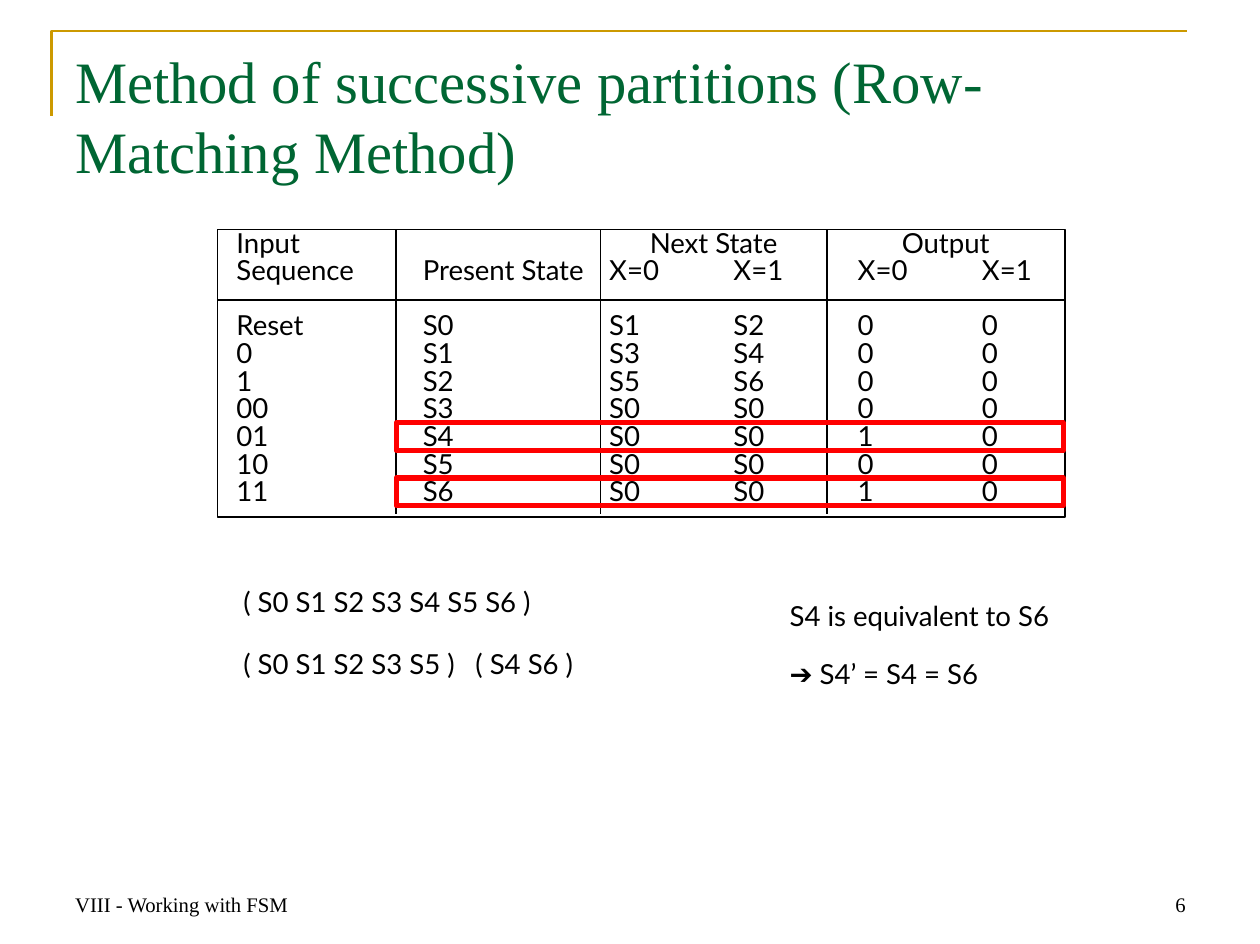
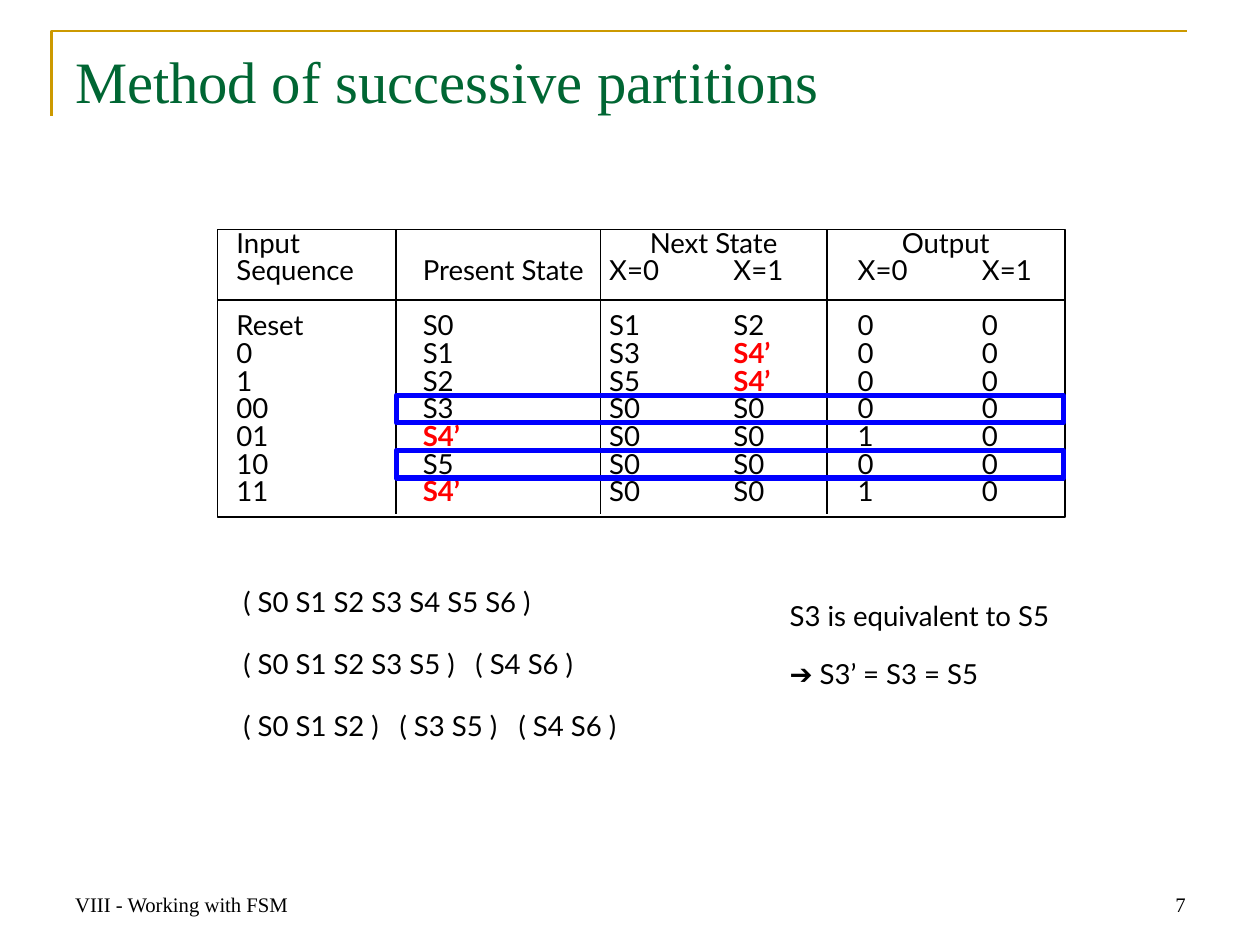
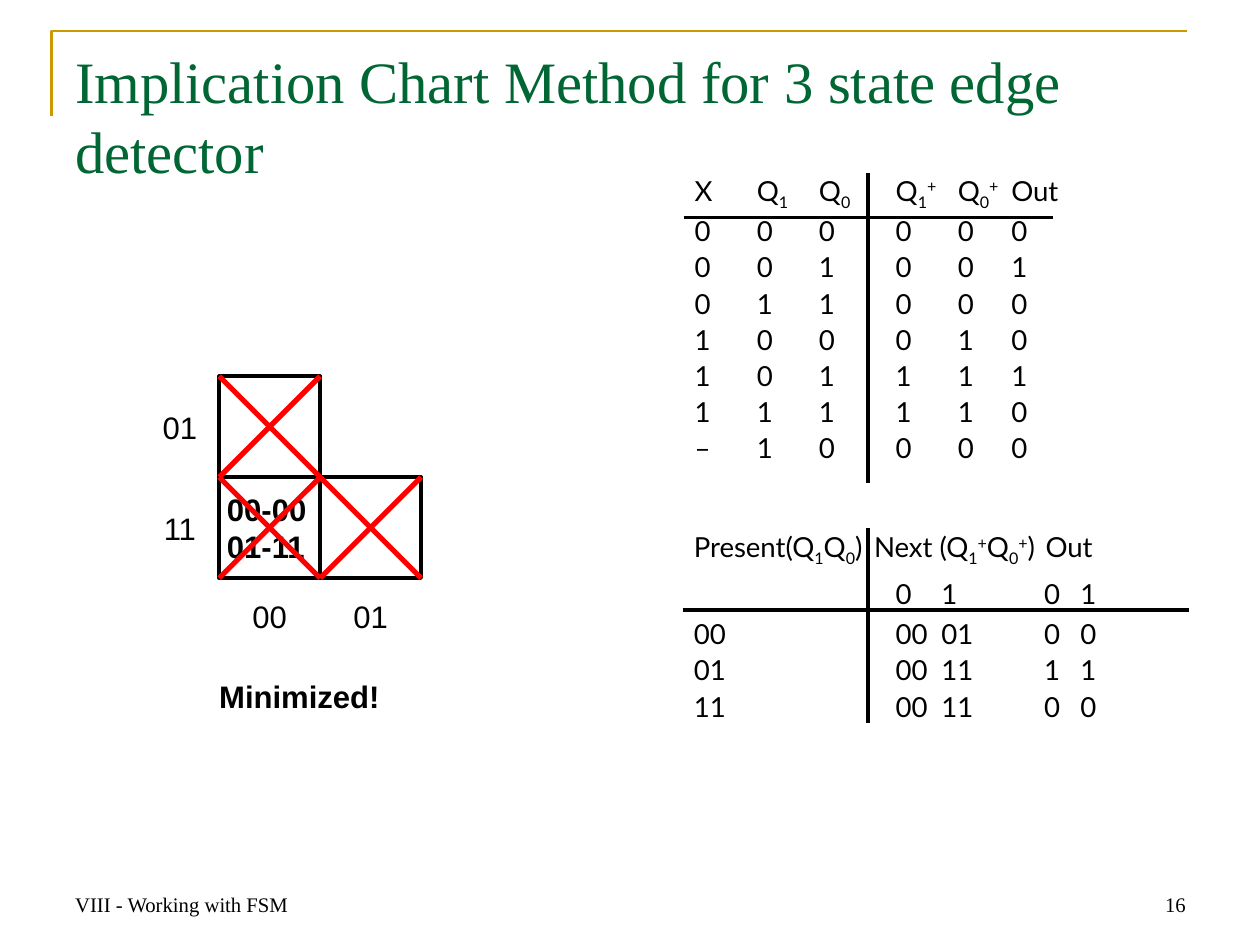
from itertools import pairwise
from typing import NamedTuple

from lxml.etree import SubElement
from pptx import Presentation
from pptx.dml.color import RGBColor
from pptx.enum.shapes import MSO_CONNECTOR, MSO_SHAPE
from pptx.enum.text import MSO_ANCHOR as Anchor, MSO_AUTO_SIZE, PP_ALIGN as Align
from pptx.oxml.ns import qn
from pptx.util import Pt

PX = 6350  # EMU per px, 144 px to the inch
BLACK = RGBColor(0x00, 0x00, 0x00)
WHITE = RGBColor(0xFF, 0xFF, 0xFF)
RED = RGBColor(0xFF, 0x00, 0x00)
BLUE = RGBColor(0x00, 0x00, 0xFF)
GREEN = RGBColor(0x00, 0x66, 0x33)
GOLD = RGBColor(0xCC, 0x99, 0x00)
SERIF, SANS, BODY = "Times New Roman", "Arial", "Lato"
NO_TABLE_STYLE = "{2D5ABB26-0587-4C30-8999-92F81FD0307C}"
FOOTER = "VIII - Working with FSM"
INDEX_DROP = 5  # extra px above cell text that holds an index


class Part(NamedTuple):
    text: str
    baseline: int = 0
    color: RGBColor = BLACK
    bold: bool = False


SUB_0, SUB_1 = Part("0", -25000), Part("1", -25000)
PLUS = Part("+", 30000)
Q1, Q0 = [Part("Q"), SUB_1], [Part("Q"), SUB_0]
Q1_NEXT, Q0_NEXT = Q1 + [PLUS], Q0 + [PLUS]

# State table: text rows, column edges and text starts
STATE_HEADER = [
    ["Input", "", "Next State", "", "Output", ""],
    ["Sequence", "Present State", "X=0", "X=1", "X=0", "X=1"],
]
STATE_ROWS = [line.split() for line in (
    "Reset S0 S1 S2 0 0",
    "0 S1 S3 S4 0 0",
    "1 S2 S5 S6 0 0",
    "00 S3 S0 S0 0 0",
    "01 S4 S0 S0 1 0",
    "10 S5 S0 S0 0 0",
    "11 S6 S0 S0 1 0",
)]
STATE_EDGES = [252, 459, 696, 836, 958, 1120, 1234]
STATE_STARTS = [274, 490, 706, 850, 994, 1138]
STATE_TOP, STATE_BOTTOM, STATE_LINE = 266, 599, 32

# Partition lines with the tab stops of their groups
PARTITIONS = [
    ("( S0 S1 S2 S3 S4 S5 S6 )", []),
    ("( S0 S1 S2 S3 S5 )\t( S4 S6 )", [269]),
    ("( S0 S1 S2 )\t( S3 S5 )\t( S4 S6 )", [181, 319]),
]

TRUTH_ROWS = [
    ["X", Q1, Q0, Q1_NEXT, Q0_NEXT, "Out"],
    *map(list, ("000000", "001001", "011000", "100010", "101111", "111110", "–10000")),
]
NEXT_STATE_ROWS = [
    [[Part("Present("), *Q1, *Q0, Part(")")],
     [Part("Next ("), *Q1_NEXT, *Q0_NEXT, Part(")")], "", "Out", ""],
    ["", "0", "1", "0", "1"],
    ["00", "00", "01", "0", "0"],
    ["01", "00", "11", "1", "1"],
    ["11", "00", "11", "0", "0"],
]


def px(*lengths):
    return [round(length * PX) for length in lengths]


def add_runs(paragraph, content, size, font, color=BLACK, bold=False):
    """Add a string, or a list of parts, run by run."""
    if isinstance(content, str):
        content = [Part(content, color=color, bold=bold)]
    for part in content:
        run = paragraph.add_run()
        run.text = part.text
        run.font.size, run.font.name = Pt(size), font
        run.font.bold, run.font.color.rgb = part.bold, part.color
        if part.baseline:
            run.font._element.set("baseline", str(part.baseline))


def set_frame(frame, inset_x, inset_y, anchor, wrap=True):
    frame.word_wrap, frame.auto_size = wrap, MSO_AUTO_SIZE.NONE
    frame.vertical_anchor = anchor
    frame.margin_left = frame.margin_right = inset_x * PX
    frame.margin_top = frame.margin_bottom = inset_y * PX


def set_tabs(paragraph, stops):
    tab_list = SubElement(paragraph._p.get_or_add_pPr(), qn("a:tabLst"))
    for stop in stops:
        SubElement(tab_list, qn("a:tab"), pos=str(stop * PX), algn="l")


def add_text(slide, box, text, size, font, align=Align.LEFT, anchor=Anchor.MIDDLE,
             inset=(14, 7), bold=False):
    frame = slide.shapes.add_textbox(*px(*box)).text_frame
    set_frame(frame, *inset, anchor)
    frame.paragraphs[0].alignment = align
    add_runs(frame.paragraphs[0], text, size, font, bold=bold)


def add_lines(slide, box, lines, spacing, space_before):
    """Add a text box with one paragraph for each (text, tab stops) pair."""
    frame = slide.shapes.add_textbox(*px(*box)).text_frame
    set_frame(frame, 3, 4, Anchor.TOP, wrap=False)
    for index, (text, stops) in enumerate(lines):
        paragraph = frame.add_paragraph() if index else frame.paragraphs[0]
        paragraph.line_spacing = Pt(spacing)
        if index:
            paragraph.space_before = Pt(space_before)
        if stops:
            set_tabs(paragraph, stops)
        add_runs(paragraph, text, 16, BODY)


def add_rectangle(slide, box, color, weight, fill=None):
    shape = slide.shapes.add_shape(MSO_SHAPE.RECTANGLE, *px(*box))
    shape.shadow.inherit = False
    if fill is None:
        shape.fill.background()
    else:
        shape.fill.solid()
        shape.fill.fore_color.rgb = fill
    shape.line.color.rgb, shape.line.width = color, Pt(weight)
    return shape


def add_rule(slide, x1, y1, x2, y2, color=BLACK, weight=2):
    line = slide.shapes.add_connector(MSO_CONNECTOR.STRAIGHT, *px(x1, y1, x2, y2))
    line.line.color.rgb, line.line.width = color, Pt(weight)
    SubElement(line.element.spPr, qn("a:effectLst"))


def add_cross(slide, left, top, side):
    right, bottom = left + side, top + side
    add_rule(slide, left, top, right, bottom, RED, 3)
    add_rule(slide, left, bottom, right, top, RED, 3)


def fill_cell(cell, content, inset_left, inset_top):
    cell.fill.background()
    cell.vertical_anchor = Anchor.TOP
    cell.margin_right = cell.margin_bottom = 0
    paragraph = cell.text_frame.paragraphs[0]
    paragraph.line_spacing = Pt(16)
    if cell.is_merge_origin:
        paragraph.alignment = Align.CENTER
        inset_left = 0
    if not content:
        # A small end mark keeps an empty cell from stretching its row
        SubElement(paragraph._p, qn("a:endParaRPr"), sz="800")
        inset_top = 0
    elif any(isinstance(part, Part) and part.baseline for part in content):
        inset_top += INDEX_DROP
    cell.margin_left, cell.margin_top = px(inset_left, inset_top)
    if content:
        add_runs(paragraph, content, 16, BODY)


def add_grid(slide, top, rows, edges, starts, heights, insets, spans=()):
    """Add an unruled table; starts and insets place the text in its cells."""
    box = px(edges[0], top, edges[-1] - edges[0], sum(heights))
    graphic = slide.shapes.add_table(len(rows), len(starts), *box)
    table = graphic.table
    table.first_row = table.horz_banding = False
    for style in graphic.element.iter(qn("a:tableStyleId")):
        style.text = NO_TABLE_STYLE
    for column, (left, right) in zip(table.columns, pairwise(edges)):
        column.width = (right - left) * PX
    for r, first, last in spans:
        table.cell(r, first).merge(table.cell(r, last))
    for r, row in enumerate(rows):
        table.rows[r].height = heights[r] * PX
        for c, content in enumerate(row):
            fill_cell(table.cell(r, c), content, starts[c] - edges[c], insets[r])


def add_corner(slide, layout):
    """Draw the gold corner line and move it to the shared layout."""
    builder = slide.shapes.build_freeform(*px(60, 134), scale=1.0)
    builder.add_line_segments([px(60, 36), px(1375, 36)], close=False)
    corner = builder.convert_to_shape()
    corner.shadow.inherit = False
    corner.fill.background()
    corner.line.color.rgb, corner.line.width = GOLD, Pt(1.5)
    layout.shapes.element.append(corner.element)


def add_slide(presentation, layout, title, number):
    slide = presentation.slides.add_slide(layout)
    shape = slide.shapes.title
    shape.left, shape.top, shape.width, shape.height = px(73, 45, 1313, 181)
    set_frame(shape.text_frame, 14, 7, Anchor.TOP)
    shape.text_frame.paragraphs[0].alignment = Align.LEFT
    add_runs(shape.text_frame.paragraphs[0], title, 34, SERIF, GREEN)
    add_text(slide, (73, 996, 341, 73), FOOTER, 12, SERIF, anchor=Anchor.BOTTOM)
    add_text(slide, (1047, 996, 341, 73), str(number), 12, SERIF, Align.RIGHT, Anchor.BOTTOM)
    return slide


def fill_partition_slide(slide, rows, partitions, conclusion, marked, color):
    # State table with its rules and frame
    heights = [34, 48, 48] + [STATE_LINE] * 5 + [43]
    insets = [2, 0, 16] + [0] * 6
    add_grid(slide, STATE_TOP, STATE_HEADER + rows, STATE_EDGES, STATE_STARTS,
             heights, insets, spans=[(0, 2, 3), (0, 4, 5)])
    left, right = STATE_EDGES[0], STATE_EDGES[-1]
    add_rule(slide, left, 348, right, 348, weight=1)
    for x in (STATE_EDGES[1], STATE_EDGES[2], STATE_EDGES[4]):
        add_rule(slide, x, STATE_TOP, x, 596, weight=1)
    add_rectangle(slide, (left, STATE_TOP, right - left, STATE_BOTTOM - STATE_TOP), BLACK, 1)
    # Equivalent rows
    for index in marked:
        add_rectangle(slide, (459, 362 + index * STATE_LINE, 773, STATE_LINE), color, 3)
    # Partitions and conclusion
    add_lines(slide, (279, 652, 881, 340), partitions, 30, 6)
    add_lines(slide, (912, 696, 384, 189), [(text, []) for text in conclusion], 16, 18)


def fill_implication_slide(slide):
    # Implication chart
    left, top, side = 254, 436, 117
    cells = [(left + c * side, top + r * side) for r, c in ((0, 0), (1, 0), (1, 1))]
    squares = [add_rectangle(slide, (x, y, side, side), BLACK, 2, WHITE) for x, y in cells]
    frame = squares[1].text_frame
    set_frame(frame, 9, 0, Anchor.MIDDLE, wrap=False)
    for index, text in enumerate(("00-00", "01-11")):
        paragraph = frame.add_paragraph() if index else frame.paragraphs[0]
        paragraph.alignment = Align.LEFT
        add_runs(paragraph, text, 18, SANS, bold=True)
    for x, y in cells:
        add_cross(slide, x, y, side)
    for index, (state_below, state_beside) in enumerate((("00", "01"), ("01", "11"))):
        offset = index * side
        add_text(slide, (left + offset, 685, side, 58), state_below, 18, SANS, Align.CENTER)
        add_text(slide, (174, top + offset + 30, 69, 58), state_beside, 18, SANS, Align.CENTER)
    add_text(slide, (240, 778, 220, 58), "Minimized!", 18, SANS, bold=True)

    # Truth table
    add_grid(slide, 200, TRUTH_ROWS, [792, 864, 936, 1006, 1097, 1160, 1230],
             [805, 877, 949, 1038, 1110, 1172], [52] + [42] * 6 + [56], [8] + [3] * 7)
    add_rule(slide, 792, 252, 1220, 252)
    add_rule(slide, 1006, 200, 1006, 560)

    # Next state table
    add_grid(slide, 612, NEXT_STATE_ROWS, [791, 1006, 1084, 1206, 1248, 1272],
             [804, 1038, 1091, 1210, 1252], [60, 35, 47, 42, 42], [9, 3, 15, 10, 10],
             spans=[(0, 1, 2), (0, 3, 4)])
    add_rule(slide, 791, 707, 1378, 707)
    add_rule(slide, 1006, 612, 1006, 838)


def main():
    presentation = Presentation()
    presentation.slide_width, presentation.slide_height = px(1460, 1094)
    layout = presentation.slide_layouts[5]

    slide = add_slide(presentation, layout,
                      "Method of successive partitions (Row-Matching Method)", 6)
    add_corner(slide, layout)
    fill_partition_slide(slide, STATE_ROWS, PARTITIONS[:2],
                         ["S4 is equivalent to S6", "➔ S4’ = S4 = S6"], (4, 6), RED)

    slide = add_slide(presentation, layout, "Method of successive partitions", 7)
    joined = [Part("S4’", color=RED, bold=True)]
    joined_rows = [[joined if text in ("S4", "S6") else text for text in row]
                   for row in STATE_ROWS]
    fill_partition_slide(slide, joined_rows, PARTITIONS,
                         ["S3 is equivalent to S5", "➔ S3’ = S3 = S5"], (3, 5), BLUE)

    slide = add_slide(presentation, layout,
                      "Implication Chart Method for 3 state edge detector", 16)
    fill_implication_slide(slide)

    presentation.save("out.pptx")


if __name__ == "__main__":
    main()
